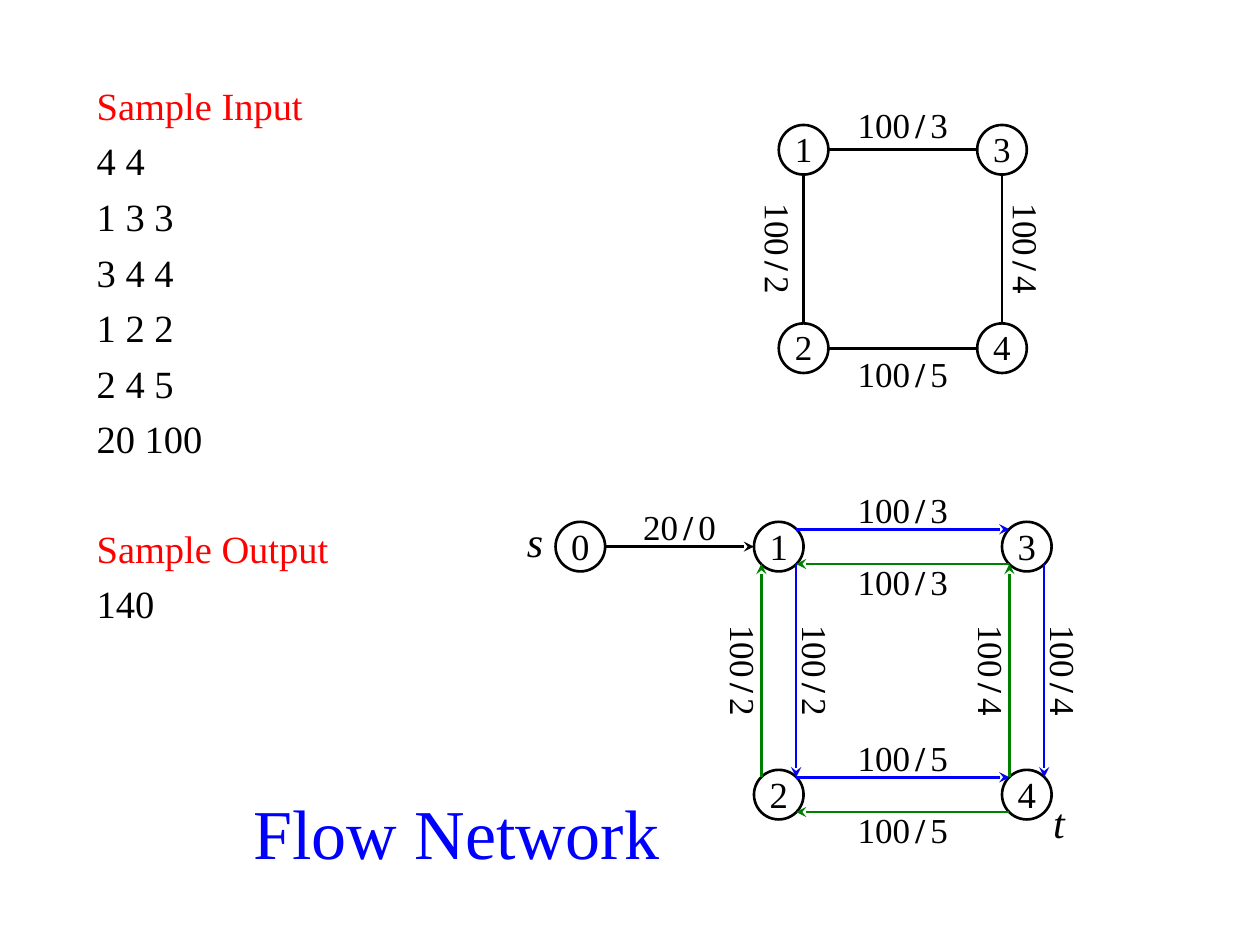
from dataclasses import dataclass

from pptx import Presentation
from pptx.dml.color import RGBColor
from pptx.enum.shapes import MSO_CONNECTOR as LINK, MSO_SHAPE
from pptx.enum.text import MSO_ANCHOR, PP_ALIGN as ALIGN
from pptx.oxml.ns import qn
from pptx.util import Cm, Pt
from lxml.etree import SubElement


@dataclass(frozen=True)
class Theme:
    """Colours, font and type sizes of the slide."""
    black = RGBColor(0, 0, 0)
    white = RGBColor(255, 255, 255)
    red = RGBColor(255, 0, 0)
    blue = RGBColor(0, 0, 255)
    green = RGBColor(0, 128, 0)
    font = "Times New Roman"
    title = 40
    body = 22
    terminal = 24
    flow_node = 21
    label = 20
    line = 1.5


NODE = 1          # node diameter, cm
RIM = 0.35        # offset of a diagonal point on the rim, cm
LABEL_GAP = 0.5   # from edge axis to label centre, cm


class GraphSlide:
    """Draws graph elements on one slide in one style."""

    def __init__(self, slide, theme):
        """Keep the slide and its theme."""
        self.slide, self.theme = slide, theme

    def style(self, p, size, color=None, italic=False):
        """Format every run of a paragraph."""
        for r in p.runs:
            r.font.name, r.font.size = self.theme.font, Pt(size)
            r.font.color.rgb = color or self.theme.black
            r.font.italic = italic

    def frame(self, sp, left=0, top=0, right=0, bottom=0, align=ALIGN.CENTER):
        """Set insets in cm, middle anchor and alignment; return the paragraph."""
        tf = sp.text_frame
        tf.margin_left, tf.margin_top = Cm(left), Cm(top)
        tf.margin_right, tf.margin_bottom = Cm(right), Cm(bottom)
        tf.vertical_anchor, tf.word_wrap = MSO_ANCHOR.MIDDLE, False
        tf.paragraphs[0].alignment = align
        return tf.paragraphs[0]

    def box(self, center, width):
        """Add a text box one centimetre high around a centre."""
        x, y = center
        return self.slide.shapes.add_textbox(
            Cm(x - width / 2), Cm(y - 0.5), Cm(width), Cm(1))

    def title(self, text, left, top, width, height):
        """Place and format the title placeholder."""
        sp = self.slide.shapes.title
        sp.left, sp.top, sp.width, sp.height = map(Cm, (left, top, width, height))
        sp.text_frame.text = text
        self.style(self.frame(sp), self.theme.title, self.theme.blue)

    def listing(self, blocks, left, top, width, height):
        """Add headed blocks of lines, a line's height apart."""
        tf = self.slide.shapes.add_textbox(
            *map(Cm, (left, top, width, height))).text_frame
        tf.word_wrap = True
        lines = [(t, i == 0, n > 0) for n, b in enumerate(blocks)
                 for i, t in enumerate(b)]
        tf.text = "\n".join(t for t, _, _ in lines)
        for p, (_, heading, later) in zip(tf.paragraphs, lines):
            p.space_before = Pt(36 if heading and later else 5.4)
            self.style(p, self.theme.body, self.theme.red if heading else None)

    def node(self, name, center, size):
        """Add a numbered circle."""
        x, y = center
        sp = self.slide.shapes.add_shape(
            MSO_SHAPE.OVAL, Cm(x - NODE / 2), Cm(y - NODE / 2), Cm(NODE), Cm(NODE))
        sp.shadow.inherit = False
        sp.fill.solid()
        sp.fill.fore_color.rgb = self.theme.white
        sp.line.color.rgb, sp.line.width = self.theme.black, Pt(self.theme.line)
        p = self.frame(sp, bottom=0.05)
        p.text = name
        self.style(p, size)

    def edge(self, start, end, color=None, arrow=False):
        """Add a plain line or a curved arrow."""
        kind = LINK.CURVE if arrow else LINK.STRAIGHT
        cn = self.slide.shapes.add_connector(kind, *map(Cm, (*start, *end)))
        cn.line.color.rgb = color or self.theme.black
        cn.line.width = Pt(self.theme.line)
        if arrow:
            SubElement(cn.line._get_or_add_ln(), qn("a:tailEnd"), type="stealth")
        SubElement(cn._element.spPr, qn("a:effectLst"))

    def label(self, capacity, cost, center, rotation=0, **insets):
        """Add a capacity / cost label."""
        sp = self.box(center, 2)
        sp.rotation = rotation
        p = self.frame(sp, **insets)
        for text in (capacity[:-1], capacity[-1], "/", cost):
            p.add_run().text = text
        self.style(p, self.theme.label)
        for r in p.runs[1:3]:
            r.font._element.set("spc", "300")
        p.runs[2].font.bold = True

    def terminal(self, name, center, **frame):
        """Add an italic name beside a source or sink."""
        p = self.frame(self.box(center, 1), **frame)
        p.text = name
        self.style(p, self.theme.terminal, italic=True)


def shift(point, vector, distance):
    """Move a point along a vector."""
    return tuple(a + v * distance for a, v in zip(point, vector))


def middle(a, b):
    """Return the midpoint of two points."""
    return (a[0] + b[0]) / 2, (a[1] + b[1]) / 2


def heading(a, b):
    """Return the unit direction of an axis-parallel edge and its left side."""
    dx, dy = (int(round(v - u, 2) > 0) - int(round(v - u, 2) < 0)
              for u, v in zip(a, b))
    return (dx, dy), (dy, -dx)


def square(left, top, side):
    """Return the centres of nodes 1 to 4, numbered column by column."""
    return {str(1 + 2 * i + j): (left + i * side, top + j * side)
            for i in range(2) for j in range(2)}


def draw_network(g, nodes, edges):
    """Draw the undirected graph, with labels outside the square."""
    for a, b, cost, side in edges:
        start, end = nodes[a], nodes[b]
        way, left = heading(start, end)
        g.edge(shift(start, way, NODE / 2), shift(end, way, -NODE / 2))
        g.label("100", cost, shift(middle(start, end), left, side * LABEL_GAP),
                90 * way[1])
    for name, center in nodes.items():
        g.node(name, center, g.theme.label)


def draw_flow(g, nodes, edges):
    """Draw the flow graph, with an arrow each way on every edge."""
    source, sink = shift(nodes["1"], (-1, 0), 4), nodes["4"]
    for name, center in {"0": source, **nodes}.items():
        g.node(name, center, g.theme.flow_node)
    g.edge(shift(source, (1, 0), NODE / 2),
           shift(nodes["1"], (-1, 0), NODE / 2), arrow=True)
    g.label("20", "0", shift(middle(source, nodes["1"]), (0, -1), LABEL_GAP), top=0.2)
    ways = ((1, g.theme.blue, {"bottom": 0.5}), (-1, g.theme.green, {"top": 0.4}))
    for a, b, cost, _ in edges:
        for sign, color, insets in ways:
            start, end = (nodes[n] for n in (a, b)[::sign])
            way, left = heading(start, end)
            g.edge(shift(shift(start, way, RIM), left, RIM),
                   shift(shift(end, way, -RIM), left, RIM), color, arrow=True)
            g.label("100", cost, shift(middle(start, end), left, LABEL_GAP),
                    90 * abs(way[1]), **insets)
    g.terminal("s", shift(source, (-1, 0), 1), left=0.25, right=0.25, bottom=0.25,
               align=ALIGN.RIGHT)
    g.terminal("t", shift(sink, (1, 1), 0.5), left=0.3, top=0.1)


def main():
    """Build and save the slide."""
    prs = Presentation()
    prs.slide_width, prs.slide_height = Cm(25.4), Cm(19.05)
    g = GraphSlide(prs.slides.add_slide(prs.slide_layouts[5]), Theme())
    g.title("Flow Network", 4.7, 15.52, 9, 2.5)
    g.listing([["Sample Input", "4 4", "1 3 3", "3 4 4", "1 2 2", "2 4 5", "20 100"],
               ["Sample Output", "140"]], 1.7, 1.52, 5.5, 11)
    edges = [("1", "3", "3", 1), ("3", "4", "4", 1),
             ("1", "2", "2", -1), ("2", "4", "5", -1)]
    draw_network(g, square(16.2, 3.02, 4), edges)
    draw_flow(g, square(15.7, 11.02, 5), edges)
    prs.save("out.pptx")


main()
